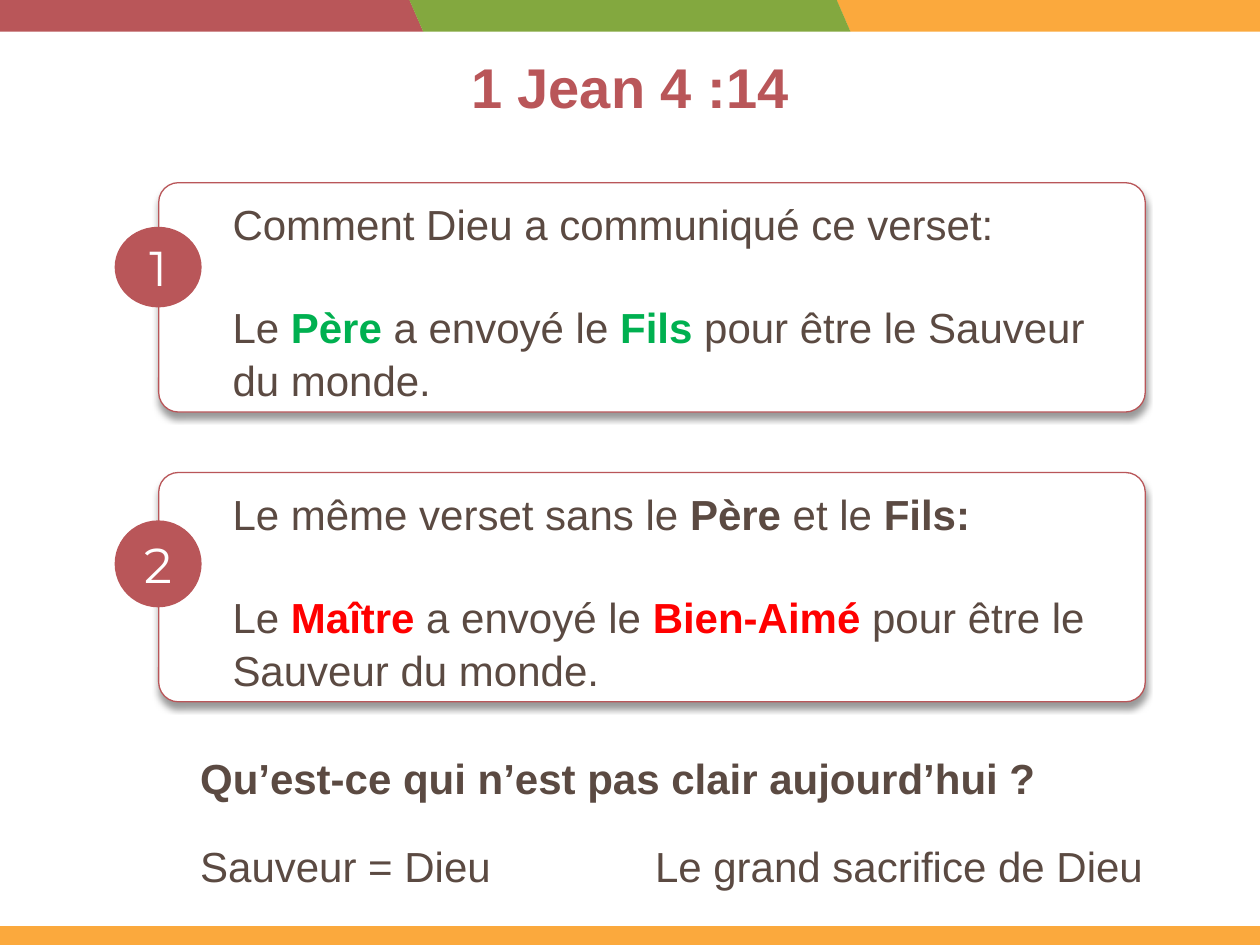
from dataclasses import dataclass

from lxml.etree import SubElement
from pptx import Presentation
from pptx.dml.color import RGBColor
from pptx.enum.shapes import MSO_SHAPE
from pptx.enum.text import MSO_ANCHOR, PP_ALIGN
from pptx.oxml.ns import qn
from pptx.util import Inches, Pt


@dataclass(frozen=True)
class Theme:
    red: str = "B95659"
    green: str = "83A83F"
    orange: str = "FBA93D"
    white: str = "FFFFFF"
    text: str = "5B4A42"
    good: str = "00B050"
    bad: str = "FF0000"
    font: str = "Arial"
    number_font: str = "Montserrat"
    title: int = 32
    number: int = 28
    body: int = 24


T = Theme()


@dataclass(frozen=True)
class Run:
    text: str
    color: str = T.text
    bold: bool = False
    size: int = T.body
    font: str = T.font


@dataclass(frozen=True)
class Card:
    number: str
    top: float
    badge_top: float
    badge_height: float
    paragraphs: tuple[tuple[Run, ...], ...]


@dataclass(frozen=True)
class Label:
    left: float
    top: float
    width: float
    height: float
    run: Run
    align: PP_ALIGN = PP_ALIGN.LEFT


CARDS = (
    Card("1", 1.45, 1.8, 0.64, (
        (Run("Comment Dieu a communiqué ce verset:"),),
        (Run("Le "), Run("Père", T.good, True), Run(" a envoyé le "),
         Run("Fils", T.good, True), Run(" pour être le Sauveur du monde.")),
    )),
    Card("2", 3.75, 4.13, 0.69, (
        (Run("Le même verset sans le "), Run("Père", bold=True),
         Run(" et le "), Run("Fils:", bold=True)),
        (Run("Le "), Run("Maître", T.bad, True), Run(" a envoyé le "),
         Run("Bien-Aimé", T.bad, True), Run(" pour être le Sauveur du monde.")),
    )),
)

LABELS = (
    Label(0.69, 0.37, 8.62, 0.65, Run("1 Jean 4 :14", T.red, True, T.title), PP_ALIGN.CENTER),
    Label(1.49, 6.62, 2.75, 0.5, Run("Sauveur = Dieu")),
    Label(5.1, 6.62, 4.21, 0.5, Run("Le grand sacrifice de Dieu")),
    Label(1.49, 5.92, 7.33, 0.5, Run("Qu’est-ce qui n’est pas clair aujourd’hui ?", bold=True)),
)


def set_attrs(obj, **values) -> None:
    for name, value in values.items():
        setattr(obj, name, value)


def add_runs(p, runs: tuple[Run, ...]) -> None:
    for run in runs:
        r = p.add_run()
        r.text = run.text
        set_attrs(r.font, size=Pt(run.size), name=run.font, bold=run.bold)
        r.font.color.rgb = RGBColor.from_string(run.color)


def add_filled(s, kind: MSO_SHAPE, left: float, top: float, width: float,
               height: float, fill: str):
    sp = s.shapes.add_shape(kind, Inches(left), Inches(top), Inches(width), Inches(height))
    sp.shadow.inherit = False
    sp.fill.solid()
    sp.fill.fore_color.rgb = RGBColor.from_string(fill)
    sp.line.fill.background()
    return sp


def add_band(s, left: float, fill: str) -> None:
    sp = add_filled(s, MSO_SHAPE.PARALLELOGRAM, left, 0, 3.5, 0.25, fill)
    sp.adjustments[0] = 0.436
    sp.element.spPr.find(qn("a:xfrm")).set("flipH", "1")


def add_drop_shadow(sp) -> None:
    effects = sp.element.spPr.find(qn("a:effectLst"))
    shadow = SubElement(effects, qn("a:outerShdw"), blurRad=str(Pt(4)), dist=str(Pt(3)),
                        dir="5400000", rotWithShape="0")
    color = SubElement(shadow, qn("a:srgbClr"), val="000000")
    SubElement(color, qn("a:alpha"), val="40000")


def add_card(s, card: Card) -> None:
    sp = add_filled(s, MSO_SHAPE.ROUNDED_RECTANGLE, 1.26, card.top, 7.83, 1.82, T.white)
    sp.adjustments[0] = 0.086
    sp.line.color.rgb = RGBColor.from_string(T.red)
    sp.line.width = Pt(0.75)
    add_drop_shadow(sp)
    tf = sp.text_frame
    set_attrs(tf, word_wrap=True, vertical_anchor=MSO_ANCHOR.MIDDLE,
              margin_left=Inches(0.54), margin_top=Inches(0.1))
    for i, runs in enumerate(card.paragraphs):
        p = tf.add_paragraph() if i else tf.paragraphs[0]
        set_attrs(p, alignment=PP_ALIGN.LEFT, line_spacing=1.05,
                  space_before=Pt(29 if i else 0))
        add_runs(p, runs)

    badge = add_filled(s, MSO_SHAPE.OVAL, 0.91, card.badge_top, 0.69, card.badge_height, T.red)
    badge.text_frame.vertical_anchor = MSO_ANCHOR.MIDDLE
    p = badge.text_frame.paragraphs[0]
    p.alignment = PP_ALIGN.CENTER
    add_runs(p, (Run(card.number, T.white, size=T.number, font=T.number_font),))


def add_label(s, label: Label) -> None:
    sp = s.shapes.add_textbox(Inches(label.left), Inches(label.top),
                              Inches(label.width), Inches(label.height))
    tf = sp.text_frame
    tf.word_wrap = True
    p = tf.paragraphs[0]
    p.alignment = label.align
    add_runs(p, (label.run,))


def main() -> None:
    prs = Presentation()
    set_attrs(prs, slide_width=Inches(10), slide_height=Inches(7.5))
    s = prs.slides.add_slide(prs.slide_layouts[6])
    for left, fill in ((6.64, T.orange), (-0.14, T.red), (3.25, T.green)):
        add_band(s, left, fill)
    add_filled(s, MSO_SHAPE.RECTANGLE, 0, 7.35, 10, 0.15, T.orange)
    for card in CARDS:
        add_card(s, card)
    for label in LABELS:
        add_label(s, label)
    prs.save("out.pptx")


if __name__ == "__main__":
    main()
